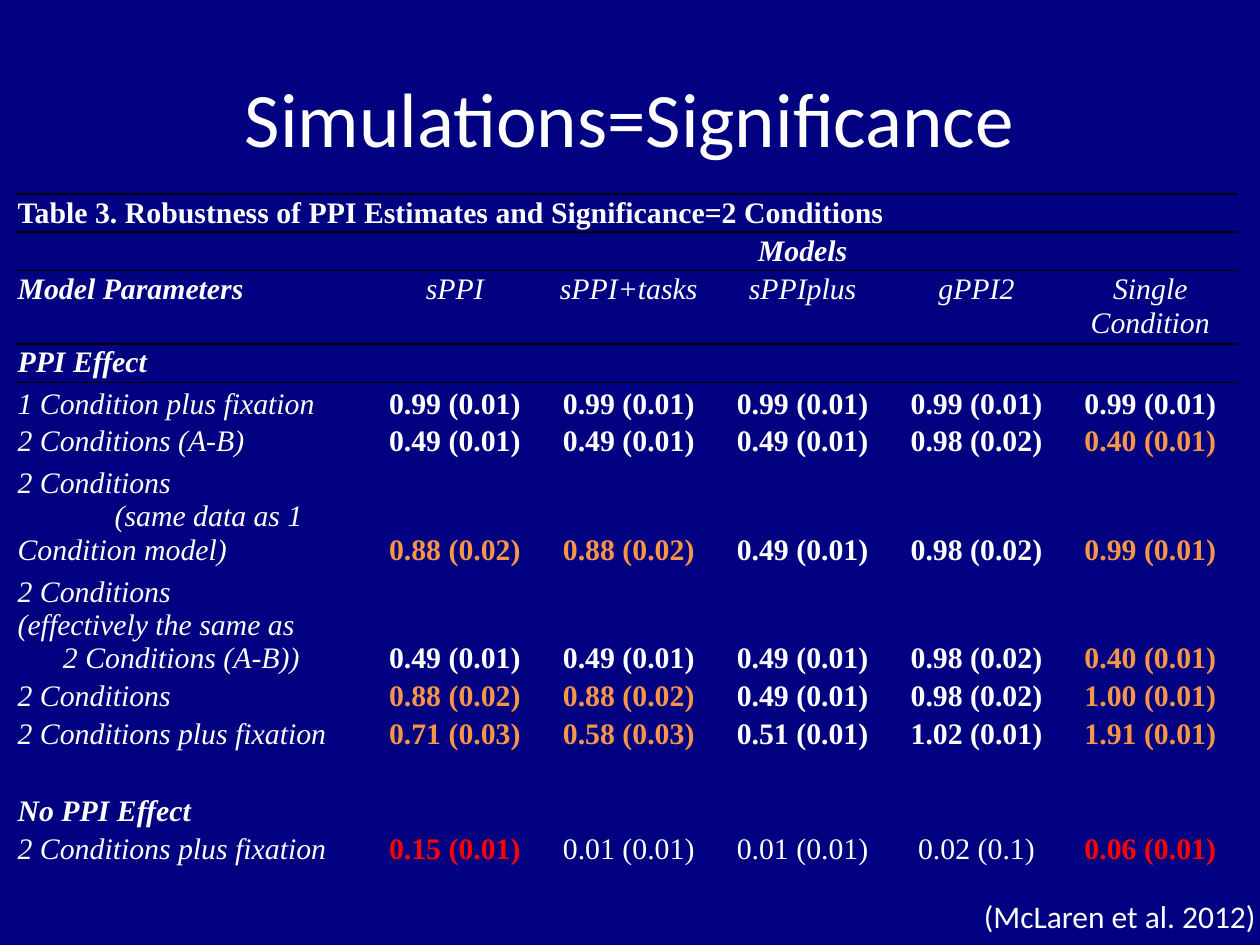
from dataclasses import dataclass

from lxml import etree
from pptx import Presentation
from pptx import util as u
from pptx.dml.color import RGBColor
from pptx.enum import text
from pptx.oxml import ns


@dataclass(frozen=True)
class Theme:
    """Colours, fonts and type sizes of the slide."""
    background: str = "000080"
    white: str = "FFFFFF"
    orange: str = "F79646"
    red: str = "FF0000"
    line: str = "000000"
    sans: str = "Calibri"
    serif: str = "Times New Roman"
    title: int = 44
    table: int = 17
    citation: int = 18


THEME = Theme()
NO_STYLE = "{2D5ABB26-0587-4C30-8999-92F81FD0307C}"
CENTER = text.PP_ALIGN.CENTER
COLUMN_WIDTHS = [2.8] + [1.38] * 5
ROW_HEIGHTS = [0.3, 0.3, 0.58, 0.3, 0.3, 0.3, 0.86, 0.86] + [0.3] * 5
TOP_LINES, BOTTOM_LINES = {0, 1, 3}, {0, 2}
FIRST_RESULT_ROW = 3
MODELS = ["sPPI", "sPPI+tasks", "sPPIplus", "gPPI2", "Single Condition"]
HEADINGS = {
    (0, 0): ("Table 3. Robustness of PPI Estimates and Significance=2 Conditions", {"bold": True}),
    (1, 1): ("Models", {"bold": True, "italic": True, "align": CENTER}),
    (2, 0): ("Model Parameters", {"bold": True, "italic": True}),
    (3, 0): ("PPI Effect", {"bold": True, "italic": True}),
    (11, 0): ("No PPI Effect", {"bold": True, "italic": True}),
}
LABELS = {
    4: [("1 Condition plus fixation", 0)],
    5: [("2 Conditions (A-B)", 0)],
    6: [("2 Conditions", 0), ("(same data as 1 Condition model)", 0.77)],
    7: [("2 Conditions", 0), ("(effectively the same as", 0), ("2 Conditions (A-B))", 0.36)],
    8: [("2 Conditions", 0)],
    9: [("2 Conditions plus fixation", 0)],
    12: [("2 Conditions plus fixation", 0)],
}
RESULTS = {
    4: ["0.99 (0.01)"] * 5,
    5: ["0.49 (0.01)"] * 3 + ["0.98 (0.02)", "0.40 (0.01)"],
    6: ["0.88 (0.02)", "0.88 (0.02)", "0.49 (0.01)", "0.98 (0.02)", "0.99 (0.01)"],
    7: ["0.49 (0.01)"] * 3 + ["0.98 (0.02)", "0.40 (0.01)"],
    8: ["0.88 (0.02)", "0.88 (0.02)", "0.49 (0.01)", "0.98 (0.02)", "1.00 (0.01)"],
    9: ["0.71 (0.03)", "0.58 (0.03)", "0.51 (0.01)", "1.02 (0.01)", "1.91 (0.01)"],
    12: ["0.15 (0.01)", "0.01 (0.01)", "0.01 (0.01)", "0.02 (0.1)", "0.06 (0.01)"],
}
ORANGE_COLUMNS = {5: {5}, 6: {1, 2, 5}, 7: {5}, 8: {1, 2, 5}, 9: {1, 2, 5}}
RED_COLUMNS = {12: {1, 5}}


def write(paragraph, content, font=THEME.serif, size=THEME.table, color=THEME.white,
          bold=False, italic=False, align=text.PP_ALIGN.LEFT, indent=0):
    """Write one formatted run into a paragraph."""
    paragraph.alignment = align
    if indent:
        paragraph._p.get_or_add_pPr().set("indent", str(u.Inches(indent)))
    run = paragraph.add_run()
    run.text = content
    run.font.name, run.font.size = font, u.Pt(size)
    run.font.bold, run.font.italic = bold, italic
    run.font.color.rgb = RGBColor.from_string(color)


def add_title(slide, content):
    """Fill the title placeholder."""
    title = slide.shapes.title
    title.left, title.top = u.Inches(0.5), u.Inches(0.3)
    title.width, title.height = u.Inches(9), u.Inches(1.25)
    title.text_frame.vertical_anchor = text.MSO_ANCHOR.MIDDLE
    write(title.text_frame.paragraphs[0], content, font=THEME.sans, size=THEME.title, align=CENTER)


def add_border(cell, side):
    """Draw a one point line on one side of a cell."""
    line = etree.SubElement(cell._tc.get_or_add_tcPr(), ns.qn(f"a:ln{side}"), w=str(u.Pt(1)))
    fill = etree.SubElement(line, ns.qn("a:solidFill"))
    etree.SubElement(fill, ns.qn("a:srgbClr"), val=THEME.line)


def format_cell(cell, row):
    """Set the margins, anchor, borders and fill of a cell."""
    cell.margin_left = cell.margin_top = cell.margin_right = u.Inches(0.02)
    cell.margin_bottom = 0
    bottom = row > FIRST_RESULT_ROW
    cell.vertical_anchor = text.MSO_ANCHOR.BOTTOM if bottom else text.MSO_ANCHOR.TOP
    if row in TOP_LINES:
        add_border(cell, "T")
    if row in BOTTOM_LINES:
        add_border(cell, "B")
    cell.fill.background()


def write_label(cell, lines):
    """Write a row label, one paragraph for each line."""
    frame = cell.text_frame
    for index, (content, indent) in enumerate(lines):
        paragraph = frame.add_paragraph() if index else frame.paragraphs[0]
        write(paragraph, content, italic=True, indent=indent)


def write_result(cell, content, row, column):
    """Write a result in the colour and weight that its significance calls for."""
    color = THEME.white
    if column in ORANGE_COLUMNS.get(row, ()):
        color = THEME.orange
    elif column in RED_COLUMNS.get(row, ()):
        color = THEME.red
    bold = row not in RED_COLUMNS or color == THEME.red
    write(cell.text_frame.paragraphs[0], content, color=color, bold=bold, align=CENTER)


def add_results_table(slide):
    """Add the table of models and simulation results."""
    frame = slide.shapes.add_table(
        len(ROW_HEIGHTS), len(COLUMN_WIDTHS), u.Inches(0.12), u.Inches(1.54),
        u.Inches(sum(COLUMN_WIDTHS)), u.Inches(sum(ROW_HEIGHTS)))
    table = frame.table
    table.first_row = table.horz_banding = False
    table._tbl.tblPr.find(ns.qn("a:tableStyleId")).text = NO_STYLE
    for column, width in zip(table.columns, COLUMN_WIDTHS):
        column.width = u.Inches(width)
    for index, height in enumerate(ROW_HEIGHTS):
        table.rows[index].height = u.Inches(height)
        for cell in table.rows[index].cells:
            format_cell(cell, index)
    table.cell(0, 0).merge(table.cell(0, 5))
    table.cell(1, 1).merge(table.cell(1, 5))
    for (row, column), (content, style) in HEADINGS.items():
        write(table.cell(row, column).text_frame.paragraphs[0], content, **style)
    for column, model in enumerate(MODELS, 1):
        write(table.cell(2, column).text_frame.paragraphs[0], model, italic=True, align=CENTER)
    for row, lines in LABELS.items():
        write_label(table.cell(row, 0), lines)
        for column, result in enumerate(RESULTS[row], 1):
            write_result(table.cell(row, column), result, row, column)
    for cell in table.iter_cells():
        if not cell.text:
            paragraph = cell.text_frame.paragraphs[0]
            etree.SubElement(paragraph._p, ns.qn("a:endParaRPr"), sz=str(THEME.table * 100))


def add_citation(slide, content):
    """Add the source of the results in the lower right corner."""
    box = slide.shapes.add_textbox(u.Inches(7.71), u.Inches(7.07), u.Inches(2.39), u.Inches(0.4))
    box.text_frame.word_wrap = False
    box.text_frame.auto_size = text.MSO_AUTO_SIZE.SHAPE_TO_FIT_TEXT
    write(box.text_frame.paragraphs[0], content, font=THEME.sans, size=THEME.citation)


def main():
    """Build and save the slide."""
    presentation = Presentation()
    presentation.slide_width, presentation.slide_height = u.Inches(10), u.Inches(7.5)
    slide = presentation.slides.add_slide(presentation.slide_layouts[5])
    slide.background.fill.solid()
    slide.background.fill.fore_color.rgb = RGBColor.from_string(THEME.background)
    add_title(slide, "Simulations=Significance")
    add_results_table(slide)
    add_citation(slide, "(McLaren et al. 2012)")
    presentation.save("out.pptx")


if __name__ == "__main__":
    main()
